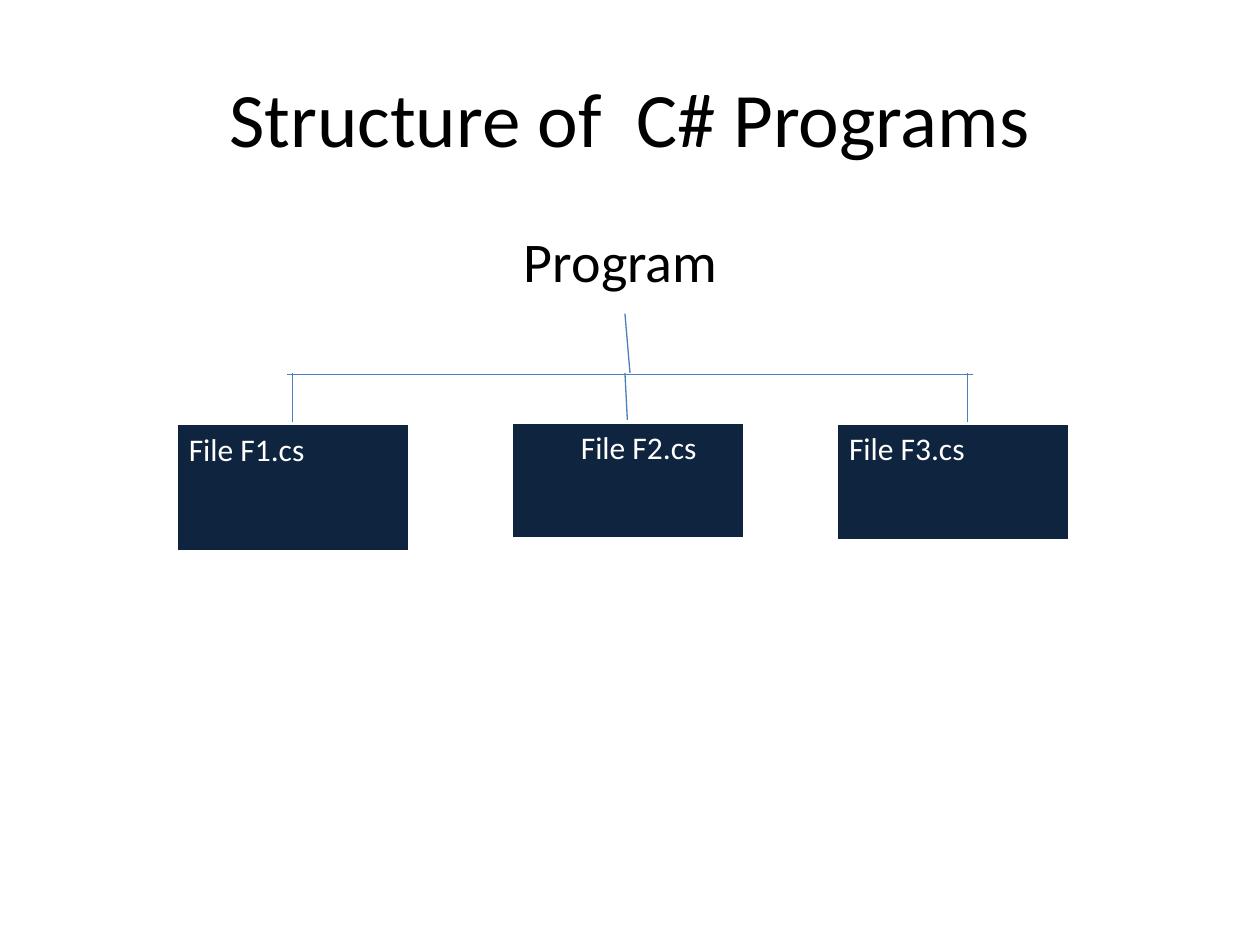
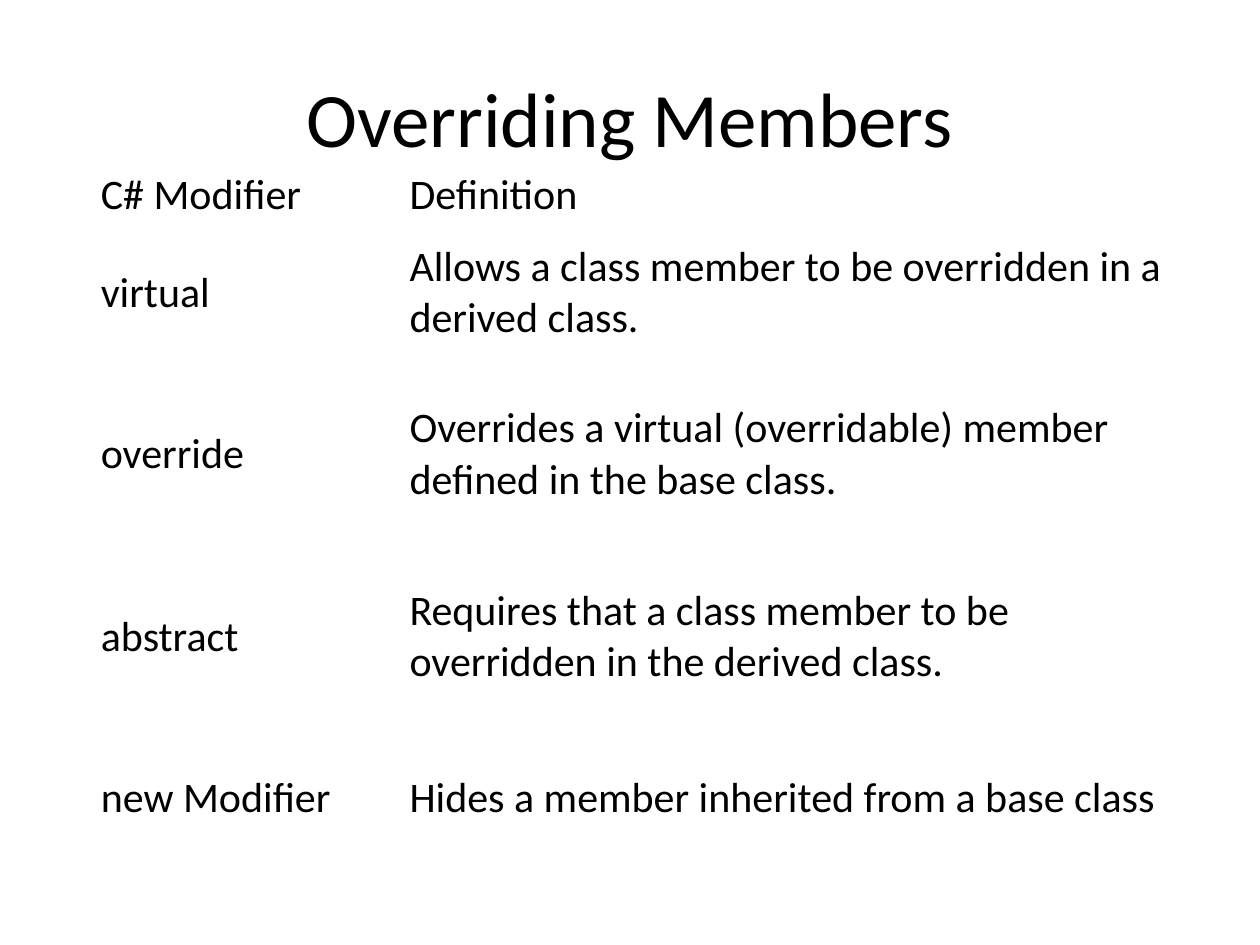
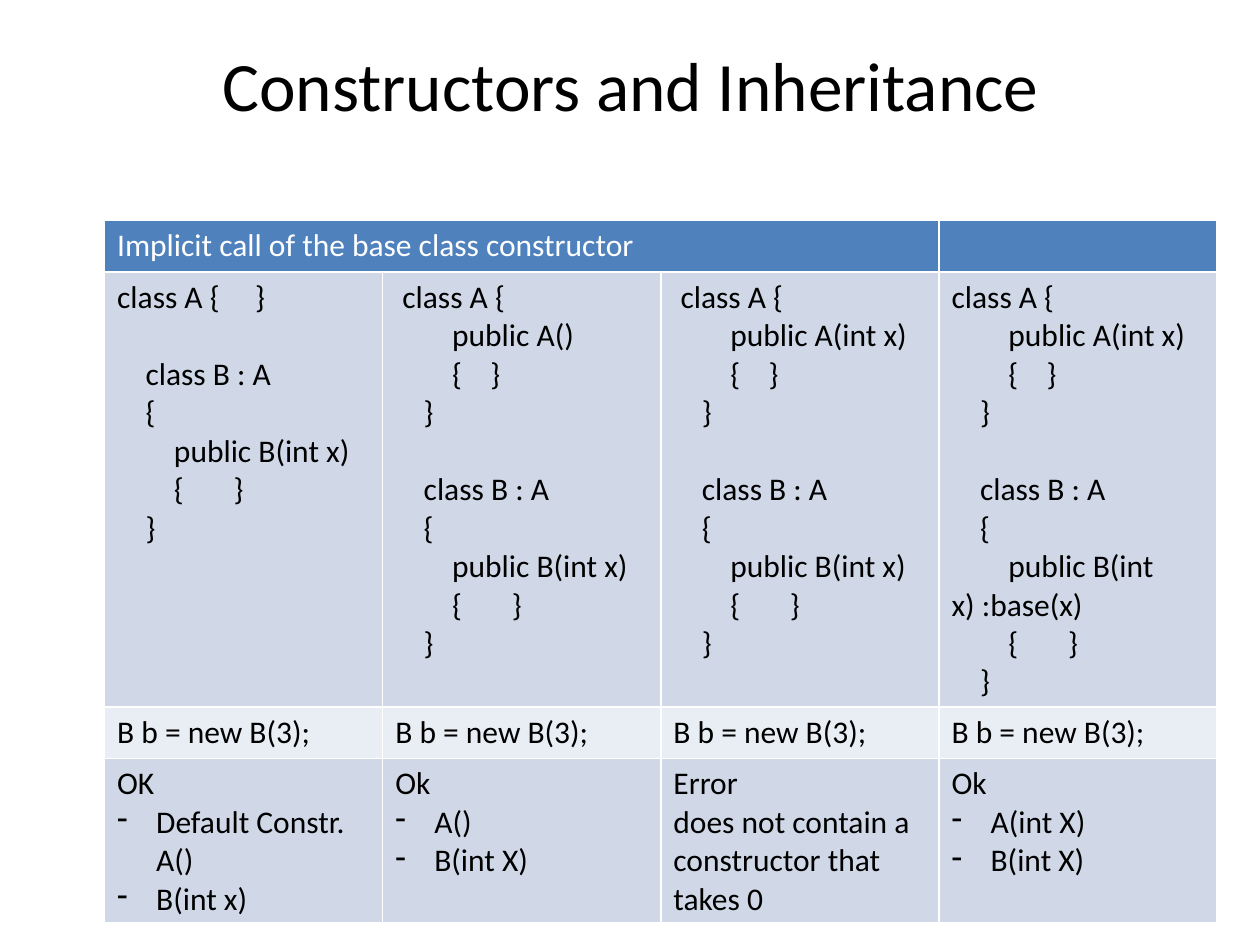
from lxml import etree
from pptx import Presentation
from pptx.dml.color import RGBColor
from pptx.enum.shapes import MSO_CONNECTOR, MSO_SHAPE
from pptx.enum.text import MSO_ANCHOR, PP_ALIGN
from pptx.oxml.ns import qn
from pptx.util import Inches, Pt

RECT = MSO_SHAPE.RECTANGLE
STRAIGHT = MSO_CONNECTOR.STRAIGHT
TOP, MIDDLE = MSO_ANCHOR.TOP, MSO_ANCHOR.MIDDLE
LEFT, CENTER = PP_ALIGN.LEFT, PP_ALIGN.CENTER

FONT = "Calibri"
BLACK, WHITE = "000000", "FFFFFF"
NAVY, LINE_BLUE = "0F243E", "4B7EBC"
HEADER_BLUE, BAND_DARK, BAND_LIGHT = "4F81BD", "D0D8E8", "E9EDF4"

rgb = RGBColor.from_string


def write(tf, lines, size, color=BLACK, align=LEFT):
    """Fill a text frame: "- " starts a dash item, an empty line becomes space before."""
    tf.word_wrap = True
    gap = 0
    p = tf.paragraphs[0]
    for i, line in enumerate(lines):
        if not line:
            gap = size * 1.22
            continue
        if i:
            p = tf.add_paragraph()
        p.alignment = align
        if gap:
            p.space_before = Pt(gap)
            gap = 0
        if line.startswith("- "):
            line = line[2:]
            pPr = p._p.get_or_add_pPr()
            pPr.set("marL", str(Inches(0.31)))
            pPr.set("indent", str(-Inches(0.31)))
            etree.SubElement(pPr, qn("a:buChar")).set("char", "-")
        r = p.add_run()
        r.text = line
        r.font.name = FONT
        r.font.size = Pt(size)
        r.font.bold = False
        r.font.color.rgb = rgb(color)


def add_text(s, box, text, size, align=LEFT, anchor=TOP):
    tf = s.shapes.add_textbox(*map(Inches, box)).text_frame
    tf.vertical_anchor = anchor
    write(tf, [text], size, align=align)


prs = Presentation()
prs.slide_width, prs.slide_height = Inches(10), Inches(7.5)

# Slides and their titles
titles = [
    ("Structure of  C# Programs", (0.5, 0.3, 9, 1.25), 44),
    ("Overriding Members", (0.5, 0.3, 9, 1.25), 44),
    ("Constructors and Inheritance", (0.42, 0.25, 9.17, 0.83), 39.6),
]
slides = []
for text, box, size in titles:
    s = prs.slides.add_slide(prs.slide_layouts[6])
    add_text(s, box, text, size, CENTER, MIDDLE)
    slides.append(s)
structure, overriding, constructors = slides

# Slide 1: program tree
add_text(structure, (4.06, 1.75, 1.81, 0.74), "Program", 32)

branches = [
    (2.28, 2.97, 7.72, 2.97),
    (4.96, 2.49, 5, 2.96),
    (2.32, 2.96, 2.32, 3.36),
    (4.96, 2.96, 4.98, 3.35),
    (7.68, 2.96, 7.68, 3.36),
]
for ends in branches:
    line = structure.shapes.add_connector(STRAIGHT, *map(Inches, ends))
    line.line.color.rgb = rgb(LINE_BLUE)
    line.line.width = Pt(0.75)
    etree.SubElement(line._element.spPr, qn("a:effectLst"))

files = [
    ("File F1.cs", 1.4, 3.36, 1.02, 0.1),
    ("File F2.cs", 4.06, 3.35, 0.93, 0.55),
    ("File F3.cs", 6.64, 3.36, 0.93, 0.1),
]
for name, x, y, height, margin in files:
    sp = structure.shapes.add_shape(RECT, Inches(x), Inches(y), Inches(1.85), Inches(height))
    sp.shadow.inherit = False
    sp.fill.solid()
    sp.fill.fore_color.rgb = rgb(NAVY)
    sp.line.color.rgb = rgb(WHITE)
    sp.line.width = Pt(2)
    tf = sp.text_frame
    tf.vertical_anchor = TOP
    tf.margin_left = Inches(margin)
    write(tf, [name], 18, WHITE)

# Slide 2: modifier table
modifiers = [
    ("C# Modifier", "Definition", 0.44),
    ("virtual", "Allows a class member to be overridden in a derived class.", 1.11),
    ("override", "Overrides a virtual (overridable) member defined in the base class.", 1.45),
    ("abstract", "Requires that a class member to be overridden in the derived class.", 1.45),
    ("new Modifier", "Hides a member inherited from a base class", 1.11),
]
table = overriding.shapes.add_table(
    len(modifiers), 2, Inches(0.75), Inches(1.33), Inches(8.67), Inches(5.57)).table
table.first_row = table.horz_banding = False
for col, width in zip(table.columns, (2.45, 6.22)):
    col.width = Inches(width)
for row, (modifier, definition, height) in zip(table.rows, modifiers):
    row.height = Inches(height)
    for cell, text in zip(row.cells, (modifier, definition)):
        cell.fill.background()
        cell.vertical_anchor = MIDDLE
        cell.margin_left = cell.margin_right = Inches(0.05)
        cell.margin_top = cell.margin_bottom = Inches(0.02)
        write(cell.text_frame, [text], 24)

# Slide 3: constructor table
class_b = ["    class B : A", "    {", "        public B(int x)", "        {       }", "    }"]
class_b_base = [line.replace("B(int x)", "B(int x) :base(x)") for line in class_b]
body_a = ["        {    }", "    }", ""]
create = ["B b = new B(3);"]
rows = [
    (0.41, HEADER_BLUE, WHITE, [["Implicit call of the base class constructor"], [], [], []]),
    (3.45, BAND_DARK, BLACK, [
        ["class A {     }", ""] + class_b,
        [" class A {", "        public A()"] + body_a + class_b,
        [" class A {", "        public A(int x)"] + body_a + class_b,
        ["class A {", "        public A(int x)"] + body_a + class_b_base,
    ]),
    (0.41, BAND_LIGHT, BLACK, [create] * 4),
    (1.24, BAND_DARK, BLACK, [
        ["OK", "- Default Constr. A()", "- B(int x)"],
        ["Ok", "- A()", "- B(int X)"],
        ["Error", "does not contain a constructor that takes 0"],
        ["Ok", "- A(int X)", "- B(int X)"],
    ]),
]
table = constructors.shapes.add_table(
    len(rows), 4, Inches(0.83), Inches(1.75), Inches(8.83), Inches(5.51)).table
table.cell(0, 0).merge(table.cell(0, 2))
for row, (height, fill, color, texts) in zip(table.rows, rows):
    row.height = Inches(height)
    for cell, lines in zip(row.cells, texts):
        cell.fill.solid()
        cell.fill.fore_color.rgb = rgb(fill)
        write(cell.text_frame, lines, 18, color)

prs.save("out.pptx")
